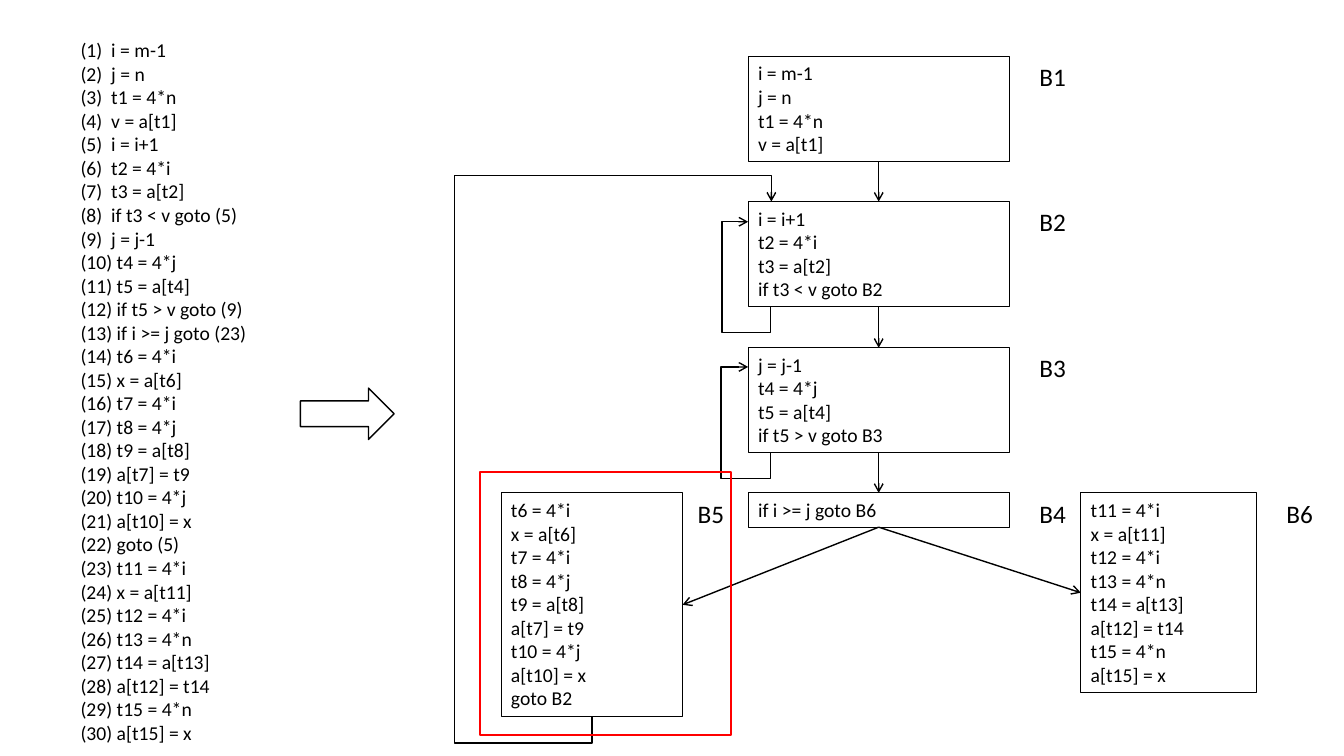
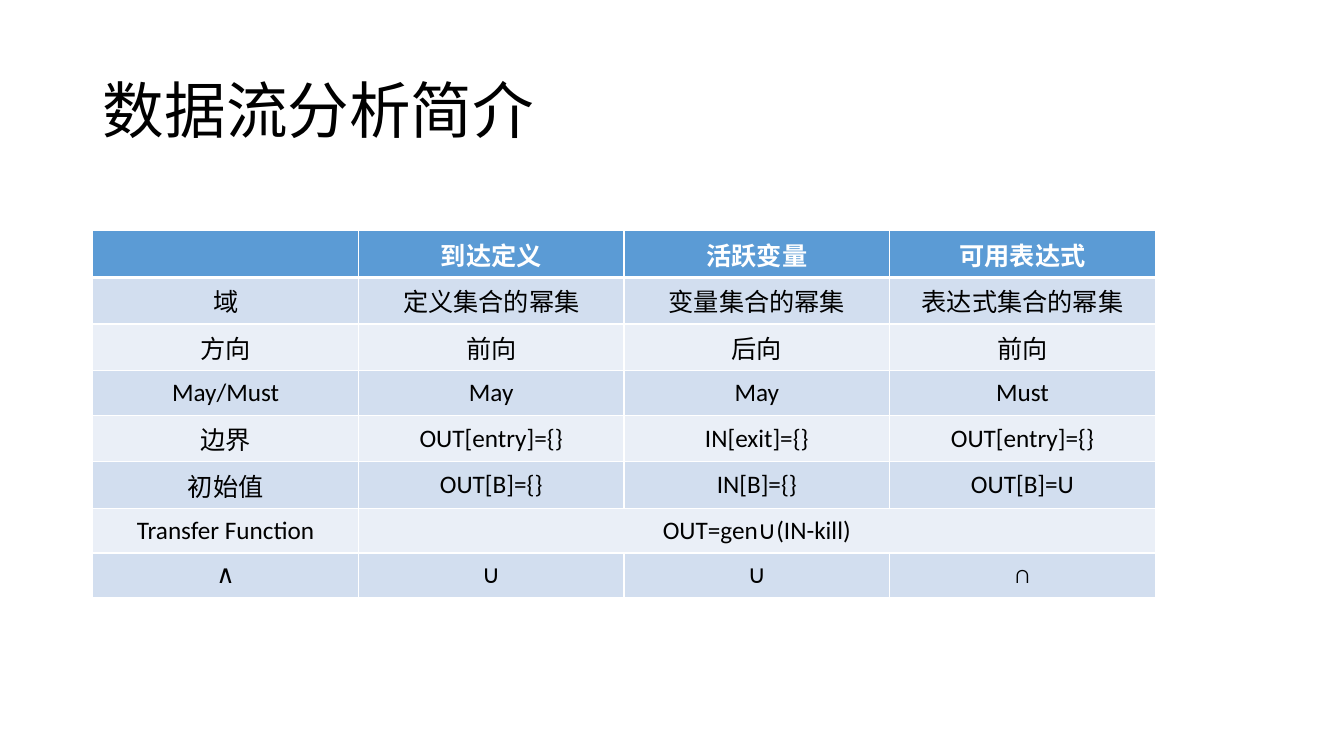
from dataclasses import dataclass

from lxml import etree
from pptx import Presentation
from pptx.dml.color import RGBColor
from pptx.enum.shapes import MSO_CONNECTOR, MSO_SHAPE
from pptx.enum.text import MSO_ANCHOR, PP_ALIGN
from pptx.oxml.ns import qn
from pptx.shapes.autoshape import Shape
from pptx.shapes.connector import Connector
from pptx.slide import Slide
from pptx.table import _Cell
from pptx.text.text import TextFrame
from pptx.util import Pt

EMU_PER_PX = 9144
FONT = "Calibri"
BLACK = RGBColor(0x00, 0x00, 0x00)
WHITE = RGBColor(0xFF, 0xFF, 0xFF)
RED = RGBColor(0xFF, 0x00, 0x00)
HEADER_BLUE = RGBColor(0x5B, 0x9B, 0xD5)
BAND_DARK = RGBColor(0xD2, 0xDE, 0xEF)
BAND_LIGHT = RGBColor(0xEA, 0xEF, 0xF7)

RECTANGLE = MSO_SHAPE.RECTANGLE
RIGHT_ARROW = MSO_SHAPE.RIGHT_ARROW
STRAIGHT = MSO_CONNECTOR.STRAIGHT
ELBOW = MSO_CONNECTOR.ELBOW
TOP = MSO_ANCHOR.TOP
MIDDLE = MSO_ANCHOR.MIDDLE
LEFT = PP_ALIGN.LEFT
CENTER = PP_ALIGN.CENTER
SIDE_TOP, SIDE_LEFT, SIDE_BOTTOM, SIDE_RIGHT = range(4)

TITLE_ONLY_LAYOUT = 5
BLANK_LAYOUT = 6


@dataclass(frozen=True)
class Rect:
    left: int
    top: int
    width: int
    height: int

    def emu(self) -> tuple[int, int, int, int]:
        return px(self.left), px(self.top), px(self.width), px(self.height)


@dataclass(frozen=True)
class Block:
    name: str
    rect: Rect
    label_left: int
    lines: tuple[str, ...]


@dataclass(frozen=True)
class Edge:
    source: str
    source_side: int
    target: str
    target_side: int


@dataclass(frozen=True)
class BackEdge:
    start: tuple[int, int]
    end: tuple[int, int]
    lane: int
    drop: int = 26
    rise: int = 0


CODE = (
    "i = m-1", "j = n", "t1 = 4*n", "v = a[t1]", "i = i+1", "t2 = 4*i",
    "t3 = a[t2]", "if t3 < v goto (5)", "j = j-1", "t4 = 4*j", "t5 = a[t4]",
    "if t5 > v goto (9)", "if i >= j goto (23)", "t6 = 4*i", "x = a[t6]",
    "t7 = 4*i", "t8 = 4*j", "t9 = a[t8]", "a[t7] = t9", "t10 = 4*j",
    "a[t10] = x", "goto (5)", "t11 = 4*i", "x = a[t11]", "t12 = 4*i",
    "t13 = 4*n", "t14 = a[t13]", "a[t12] = t14", "t15 = 4*n", "a[t15] = x",
)

BLOCKS = (
    Block("B1", Rect(742, 56, 259, 104), 1021, CODE[:4]),
    Block("B2", Rect(742, 200, 259, 104), 1021, (*CODE[4:7], "if t3 < v goto B2")),
    Block("B3", Rect(742, 345, 259, 104), 1021, (*CODE[8:11], "if t5 > v goto B3")),
    Block("B4", Rect(742, 489, 259, 34), 1021, ("if i >= j goto B6",)),
    Block("B5", Rect(497, 489, 180, 222), 682, (*CODE[13:21], "goto B2")),
    Block("B6", Rect(1072, 489, 174, 198), 1266, CODE[22:]),
)

EDGES = (
    Edge("B1", SIDE_BOTTOM, "B2", SIDE_TOP),
    Edge("B2", SIDE_BOTTOM, "B3", SIDE_TOP),
    Edge("B3", SIDE_BOTTOM, "B4", SIDE_TOP),
    Edge("B4", SIDE_BOTTOM, "B6", SIDE_LEFT),
    Edge("B4", SIDE_BOTTOM, "B5", SIDE_RIGHT),
)

BACK_EDGES = (
    BackEdge((587, 711), (765, 200), lane=451, rise=26),
    BackEdge((764, 304), (742, 220), lane=716),
    BackEdge((764, 449), (742, 364), lane=715),
)

ANALYSIS_ROWS = (
    ("", "到达定义", "活跃变量", "可用表达式"),
    ("域", "定义集合的幂集", "变量集合的幂集", "表达式集合的幂集"),
    ("方向", "前向", "后向", "前向"),
    ("May/Must", "May", "May", "Must"),
    ("边界", "OUT[entry]={}", "IN[exit]={}", "OUT[entry]={}"),
    ("初始值", "OUT[B]={}", "IN[B]={}", "OUT[B]=U"),
    ("Transfer Function", "OUT=gen∪(IN-kill)"),
    ("∧", "∪", "∪", "∩"),
)


def px(length: int) -> int:
    return length * EMU_PER_PX


def write_lines(frame: TextFrame, lines: tuple[str, ...], size: int,
                color: RGBColor = BLACK, align: PP_ALIGN = LEFT, bold: bool = False) -> None:
    frame.text = "\n".join(lines)
    for para in frame.paragraphs:
        para.alignment = align
        para.font.name = FONT
        para.font.size = Pt(size)
        para.font.bold = bold
        para.font.color.rgb = color


def add_text(page: Slide, rect: Rect, lines: tuple[str, ...], size: int) -> None:
    frame = page.shapes.add_textbox(*rect.emu()).text_frame
    frame.word_wrap = True
    write_lines(frame, lines, size)


def add_outline(page: Slide, preset: MSO_SHAPE, rect: Rect, weight: float,
                color: RGBColor = BLACK) -> Shape:
    shape = page.shapes.add_shape(preset, *rect.emu())
    shape.shadow.inherit = False
    shape.fill.background()
    shape.line.color.rgb = color
    shape.line.width = Pt(weight)
    return shape


def add_block(page: Slide, block: Block) -> Shape:
    box = add_outline(page, RECTANGLE, block.rect, 0.75)
    box.text_frame.word_wrap = True
    box.text_frame.vertical_anchor = TOP
    write_lines(box.text_frame, block.lines, 14)
    add_text(page, Rect(block.label_left, block.rect.top, 55, 40), (block.name,), 18)
    return box


def style_arrow(arrow: Connector) -> None:
    arrow.line.color.rgb = BLACK
    arrow.line.width = Pt(1)
    properties = arrow._element.spPr
    etree.SubElement(properties.find(qn("a:ln")), qn("a:tailEnd"), type="arrow")
    etree.SubElement(properties, qn("a:effectLst"))


def add_edge(page: Slide, edge: Edge, boxes: dict[str, Shape]) -> None:
    arrow = page.shapes.add_connector(STRAIGHT, 0, 0, 0, 0)
    arrow.begin_connect(boxes[edge.source], edge.source_side)
    arrow.end_connect(boxes[edge.target], edge.target_side)
    style_arrow(arrow)


def add_back_edge(page: Slide, edge: BackEdge) -> None:
    (start_x, start_y), (end_x, end_y) = edge.start, edge.end
    climb = start_y - end_y
    shift = end_x - start_x
    center_x, center_y = px(start_x + end_x) // 2, px(start_y + end_y) // 2
    half_width, half_height = px(climb) // 2, px(abs(shift)) // 2
    arrow = page.shapes.add_connector(
        ELBOW, center_x - half_width, center_y - half_height,
        center_x + half_width, center_y + half_height)

    properties = arrow._element.spPr
    transform = properties.find(qn("a:xfrm"))
    transform.set("rot", "5400000")
    transform.set("flipH", "1")
    if shift > 0:
        transform.set("flipV", "1")

    bends = [-edge.drop / climb, (edge.lane - start_x) / shift]
    if edge.rise:
        bends.append(1 + edge.rise / climb)
    geometry = properties.find(qn("a:prstGeom"))
    geometry.set("prst", f"bentConnector{len(bends) + 2}")
    guides = geometry.find(qn("a:avLst"))
    for number, bend in enumerate(bends, 1):
        etree.SubElement(guides, qn("a:gd"), name=f"adj{number}",
                         fmla=f"val {round(bend * 100000)}")
    style_arrow(arrow)


def set_borders(cell: _Cell, top: int, bottom: int) -> None:
    properties = cell._tc.get_or_add_tcPr()
    for side, weight in (("L", 1), ("R", 1), ("T", top), ("B", bottom)):
        line = etree.SubElement(properties, qn(f"a:ln{side}"), w=str(Pt(weight)))
        fill = etree.SubElement(line, qn("a:solidFill"))
        etree.SubElement(fill, qn("a:srgbClr"), val=str(WHITE))


def build_flow_graph(page: Slide) -> None:
    listing = tuple(f"{f'({number})':<5}{code}" for number, code in enumerate(CODE, 1))
    add_text(page, Rect(70, 33, 275, 717), listing, 14)
    boxes = {block.name: add_block(page, block) for block in BLOCKS}
    for edge in EDGES:
        add_edge(page, edge, boxes)
    for back_edge in BACK_EDGES:
        add_back_edge(page, back_edge)
    add_outline(page, RIGHT_ARROW, Rect(298, 385, 93, 51), 1)
    add_outline(page, RECTANGLE, Rect(476, 468, 249, 261), 1.5, RED)


def add_title(page: Slide, text: str) -> None:
    title = page.shapes.title
    title.left, title.top, title.width, title.height = Rect(92, 40, 1150, 145).emu()
    title.text_frame.vertical_anchor = MIDDLE
    write_lines(title.text_frame, (text,), 44)
    title.text_frame.paragraphs[0].line_spacing = 0.9


def build_comparison(page: Slide) -> None:
    add_title(page, "数据流分析简介")
    row_count, column_count = len(ANALYSIS_ROWS), len(ANALYSIS_ROWS[0])
    table = page.shapes.add_table(
        row_count, column_count, *Rect(92, 229, 1054, 354).emu()).table
    for row, texts in enumerate(ANALYSIS_ROWS):
        is_header = row == 0
        band = HEADER_BLUE if is_header else BAND_DARK if row % 2 else BAND_LIGHT
        for column in range(column_count):
            cell = table.cell(row, column)
            set_borders(cell, top=3 if row == 1 else 1, bottom=3 if is_header else 1)
            cell.fill.solid()
            cell.fill.fore_color.rgb = band
            cell.vertical_anchor = MIDDLE
            if column < len(texts):
                write_lines(cell.text_frame, (texts[column],), 18,
                            WHITE if is_header else BLACK, CENTER, is_header)
        if len(texts) < column_count:
            table.cell(row, len(texts) - 1).merge(table.cell(row, column_count - 1))


def main() -> None:
    deck = Presentation()
    deck.slide_width, deck.slide_height = px(1333), px(750)
    build_flow_graph(deck.slides.add_slide(deck.slide_layouts[BLANK_LAYOUT]))
    build_comparison(deck.slides.add_slide(deck.slide_layouts[TITLE_ONLY_LAYOUT]))
    deck.save("out.pptx")


if __name__ == "__main__":
    main()
